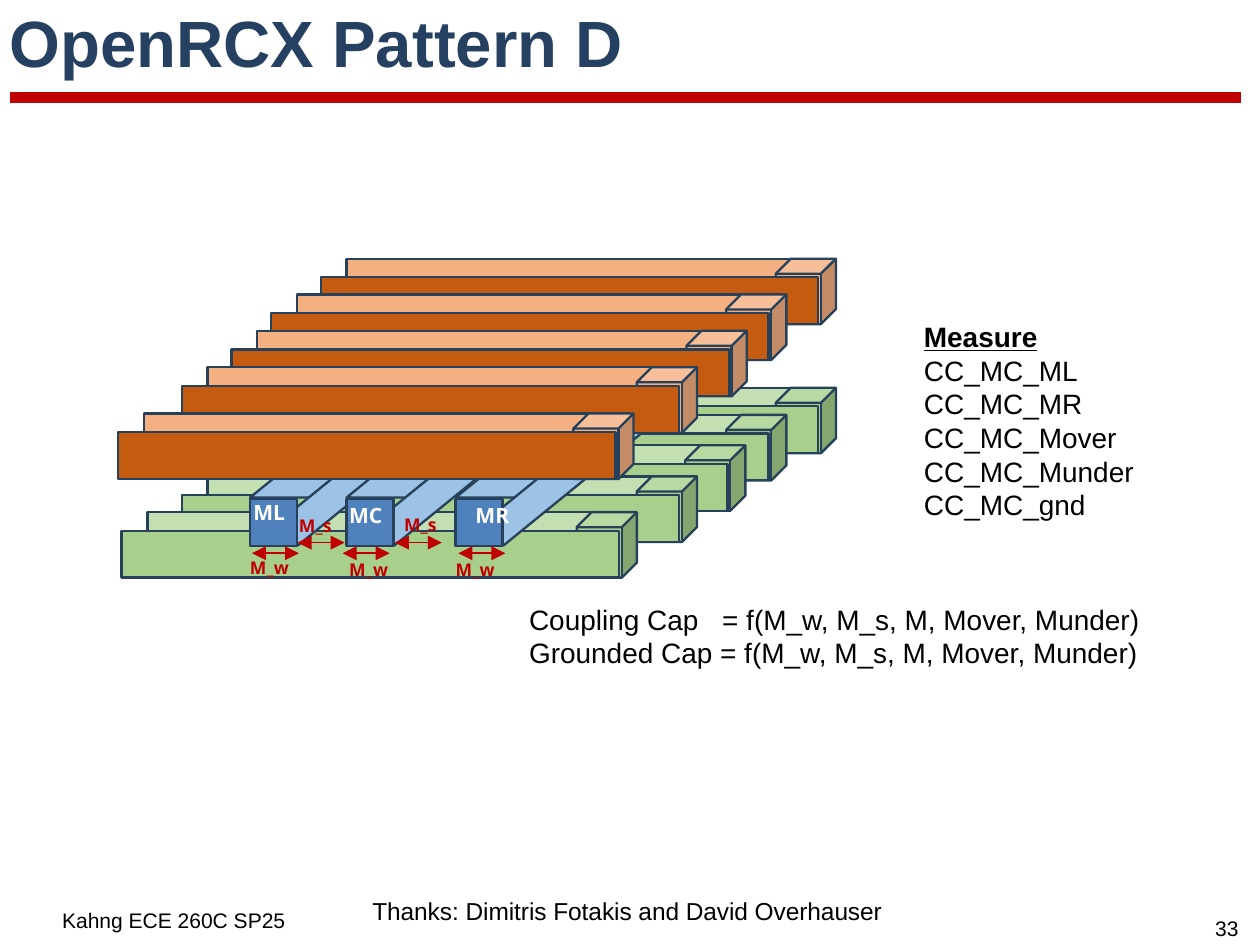
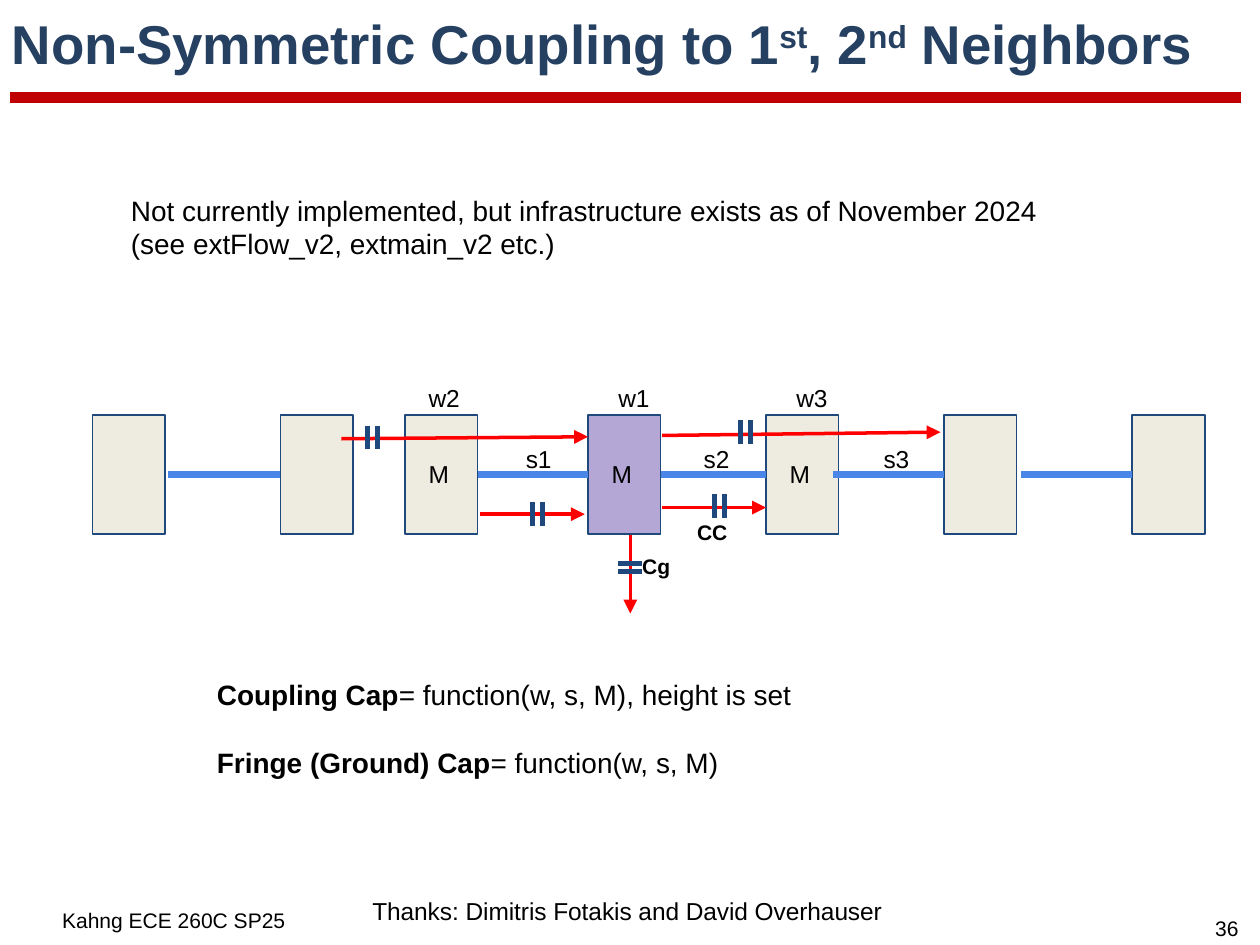
from lxml.etree import SubElement
from pptx import Presentation
from pptx.dml.color import RGBColor as RGB
from pptx.enum.shapes import MSO_CONNECTOR as CONN, MSO_SHAPE as SHAPE
from pptx.enum.text import MSO_ANCHOR as ANCHOR, PP_ALIGN as ALIGN
from pptx.oxml.ns import qn
from pptx.util import Cm, Pt

COLORS = {
    "title": "254061", "rule": "C00000", "text": "000000", "white": "FFFFFF",
    "edge": "264159", "under_top": "C4E0B2", "under": "A8D08C",
    "over_top": "F4B081", "over": "C55A11", "wire_top": "9CC2E5", "wire": "4F81BD",
    "plain": "EEECE1", "center": "B4A7D6", "outline": "1F497D",
    "space": "4A86E8", "arrow": "FF0000",
}
C = {name: RGB.from_string(value) for name, value in COLORS.items()}


def write(sp, text, size=12, color="text", font="Arial", bold=False, ins=(0.18, 0.18),
          align=ALIGN.LEFT, anchor=ANCHOR.TOP, spacing=None, after=None, tab=None):
    tf = sp.text_frame
    tf.word_wrap = True
    tf.vertical_anchor = anchor
    tf.margin_left = tf.margin_right = Cm(ins[0])
    tf.margin_top = tf.margin_bottom = Cm(ins[1])
    for i, runs in enumerate([text] if isinstance(text, str) else text):
        p = tf.paragraphs[0] if i == 0 else tf.add_paragraph()
        p.alignment = align
        if spacing:
            p.line_spacing = spacing
        if after:
            p.space_after = Pt(after)
        if tab:
            tabs = SubElement(p._p.get_or_add_pPr(), qn("a:tabLst"))
            SubElement(tabs, qn("a:tab"), pos=str(Cm(tab)), algn="l")
        for words, style in [(runs, "")] if isinstance(runs, str) else runs:
            r = p.add_run()
            r.text = words
            r.font.name = font
            r.font.size = Pt(size)
            r.font.color.rgb = C[color]
            r.font.bold = bold or "b" in style
            if "u" in style:
                r.font.underline = True
            if "^" in style:
                r.font._element.set("baseline", "30000")


def connect(s, x1, y1, x2, y2, color, width, heads=()):
    c = s.shapes.add_connector(CONN.STRAIGHT, Cm(x1), Cm(y1), Cm(x2), Cm(y2))
    c.line.color.rgb = C[color]
    c.line.width = Pt(width)
    spPr = c._element.spPr
    for end in heads:
        SubElement(spPr.find(qn("a:ln")), qn("a:" + end), type="triangle")
    SubElement(spPr, qn("a:effectLst"))
    return c


prs = Presentation()
prs.slide_width, prs.slide_height = Cm(19.05), Cm(14.28)
layout = prs.slide_layouts[5]

titles = [
    ("OpenRCX Pattern D", 28, (0.15, 0.05), "33"),
    ([[("Non-Symmetric Coupling to 1", ""), ("st", "^"), (", 2", ""), ("nd", "^"),
       (" Neighbors", "")]], 23.4, (0.18, 0.05), "36"),
]
for title, size, ins, number in titles:
    s = prs.slides.add_slide(layout)
    sp = s.shapes.title
    sp.left, sp.top, sp.width, sp.height = Cm(0), Cm(0.18), Cm(19.05), Cm(1.12)
    write(sp, title, size=size, color="title", bold=True, ins=ins,
          anchor=ANCHOR.MIDDLE, spacing=0.8)
    connect(s, 0.15, 1.47, 18.77, 1.47, "rule", 4.5)
    for box, text, fmt in [
        ((0.69, 13.59, 4.39, 0.53), "Kahng ECE 260C SP25", dict(size=9, ins=(0.25, 0.13))),
        ((5.38, 13.41, 8.56, 0.71), "Thanks: Dimitris Fotakis and David Overhauser",
         dict(size=10.5, ins=(0.25, 0.13))),
        ((18.08, 13.79, 0.94, 0.48), number,
         dict(size=9, ins=(0.1, 0.05), align=ALIGN.CENTER)),
    ]:
        write(s.shapes.add_textbox(*map(Cm, box)), text, **fmt)

pattern, neighbors = prs.slides

under_bars = [(5.24, 5.86), (4.49, 6.27), (3.87, 6.73), (3.14, 7.2), (2.23, 7.74)]
over_bars = [(5.24, 3.91), (4.49, 4.45), (3.89, 5), (3.14, 5.55), (2.18, 6.25)]
wires = [3.78, 5.24, 6.89]
side = 0.71
bars = {}
for layer, corners in [("under", under_bars), ("over", over_bars)]:
    cube_fill = "under" if layer == "under" else "over_top"
    bars[layer] = []
    for x, y in corners:
        bars[layer] += [
            (SHAPE.RECTANGLE, (x, y, 7.34, side), layer + "_top", None, 0),
            (SHAPE.CUBE, (x + 6.49, y, 0.91, 0.99), cube_fill, 0.25, 0),
            (SHAPE.RECTANGLE, (x - 0.39, y + 0.28, 7.52, side), layer, None, 0),
        ]
wire_parts = []
for x in wires:
    wire_parts += [
        (SHAPE.RECTANGLE, (x + 3.53, 4.72, side, side), "wire_top", None, 0),
        (SHAPE.PARALLELOGRAM, (x, 4.72, 4.34, 2.8), "wire_top", 1.23, 0),
        (SHAPE.PARALLELOGRAM, (x, 5.44, 4.17, 2.8), "wire_top", 1.23, 180),
        (SHAPE.RECTANGLE, (x, 7.54, side, side), "wire", None, 0),
    ]
for kind, box, fill, adjust, turn in bars["under"] + wire_parts + bars["over"]:
    sp = pattern.shapes.add_shape(kind, *map(Cm, box))
    sp.shadow.inherit = False
    sp.fill.solid()
    sp.fill.fore_color.rgb = C[fill]
    sp.line.color.rgb = C["edge"]
    sp.line.width = Pt(1)
    sp.rotation = turn
    if adjust:
        sp.adjustments[0] = adjust

for x, y in [(4.5, 8.2), (5.97, 8.2), (3.81, 8.36), (5.18, 8.36), (6.93, 8.36)]:
    connect(pattern, x, y, x + side, y, "rule", 0.75, ("headEnd", "tailEnd"))

for text, x, y, size, color in [
    ("ML", 3.68, 7.47, 9, "white"), ("MC", 5.13, 7.52, 9, "white"),
    ("MR", 7.04, 7.52, 9, "white"),
    ("M_s", 4.37, 7.7, 7.5, "rule"), ("M_s", 5.96, 7.69, 7.5, "rule"),
    ("M_w", 3.63, 8.33, 7.5, "rule"), ("M_w", 5.13, 8.36, 7.5, "rule"),
    ("M_w", 6.74, 8.36, 7.5, "rule"),
]:
    sp = pattern.shapes.add_textbox(Cm(x), Cm(y), Cm(1.2), Cm(0.5))
    write(sp, text, size=size, color=color, font="Open Sans", bold=True, ins=(0.15, 0.08))

sp = pattern.shapes.add_textbox(Cm(13.82), Cm(4.75), Cm(4.09), Cm(3.23))
write(sp, [[("Measure", "bu")], "CC_MC_ML", "CC_MC_MR", "CC_MC_Mover", "CC_MC_Munder",
           "CC_MC_gnd"], ins=(0.15, 0.08))
sp = pattern.shapes.add_textbox(Cm(7.85), Cm(9.02), Cm(9.9), Cm(1.17))
write(sp, ["Coupling Cap\t= f(M_w, M_s, M, Mover, Munder)",
           "Grounded Cap = f(M_w, M_s, M, Mover, Munder)"], ins=(0.15, 0.08), tab=2.92)

blocks = []
for x in [1.4, 4.24, 6.12, 8.89, 11.58, 14.27, 17.12]:
    sp = neighbors.shapes.add_shape(SHAPE.RECTANGLE, Cm(x), Cm(6.27), Cm(1.1), Cm(1.8))
    sp.shadow.inherit = False
    sp.fill.solid()
    sp.fill.fore_color.rgb = C["center" if len(blocks) == 3 else "plain"]
    sp.line.color.rgb = C["outline"]
    sp.line.width = Pt(0.75)
    blocks.append(sp)

for x, start, end in [(2.54, None, 1), (7.22, 2, 3), (9.99, 3, 4), (12.6, None, 5),
                      (15.44, None, 6)]:
    c = connect(neighbors, x, 7.17, x + 1.6, 7.17, "space", 3)
    if start is not None:
        c.begin_connect(blocks[start], 3)
    c.end_connect(blocks[end], 1)

for ends in [(10.01, 7.67, 11.58, 7.67), (9.53, 8.08, 9.53, 9.27), (10.01, 6.58, 14.22, 6.53),
             (7.26, 7.77, 8.84, 7.77), (5.16, 6.63, 8.89, 6.6)]:
    connect(neighbors, *ends, "arrow", 1.5, ["tailEnd"])

plate = 0.36
for x, y in [(10.8, 7.47), (11.2, 6.35), (8.05, 7.59), (5.56, 6.43)]:
    for gap in (0, 0.15):
        connect(neighbors, x + gap, y, x + gap, y + plate, "outline", 2.25)
for y in (8.51, 8.64):
    connect(neighbors, 9.35, y, 9.35 + plate, y, "outline", 2.25)

for text, x, y, size, bold in [
    ("w2", 6.3, 5.61, 10.5, False), ("w1", 9.17, 5.61, 10.5, False),
    ("w3", 11.86, 5.61, 10.5, False),
    ("s1", 7.77, 6.53, 10.5, False), ("s2", 10.46, 6.53, 10.5, False),
    ("s3", 13.18, 6.53, 10.5, False),
    ("M", 6.3, 6.76, 10.5, False), ("M", 9.07, 6.76, 10.5, False),
    ("M", 11.76, 6.76, 10.5, False),
    ("CC", 10.36, 7.67, 9, True), ("Cg", 9.53, 8.18, 9, True),
]:
    sp = neighbors.shapes.add_textbox(Cm(x), Cm(y), Cm(1), Cm(0.84))
    write(sp, text, size=size, bold=bold)

sp = neighbors.shapes.add_textbox(Cm(1.8), Cm(2.74), Cm(15.09), Cm(1.42))
write(sp, ["Not currently implemented, but infrastructure exists as of November 2024",
           "(see extFlow_v2, extmain_v2 etc.)"])
sp = neighbors.shapes.add_textbox(Cm(3.1), Cm(10.06), Cm(12.67), Cm(1.93))
write(sp, [[("Coupling Cap", "b"), ("= function(w, s, M), height is set", "")],
           [("Fringe (Ground) Cap", "b"), ("= function(w, s, M)", "")]], after=14.5)

prs.save("out.pptx")
